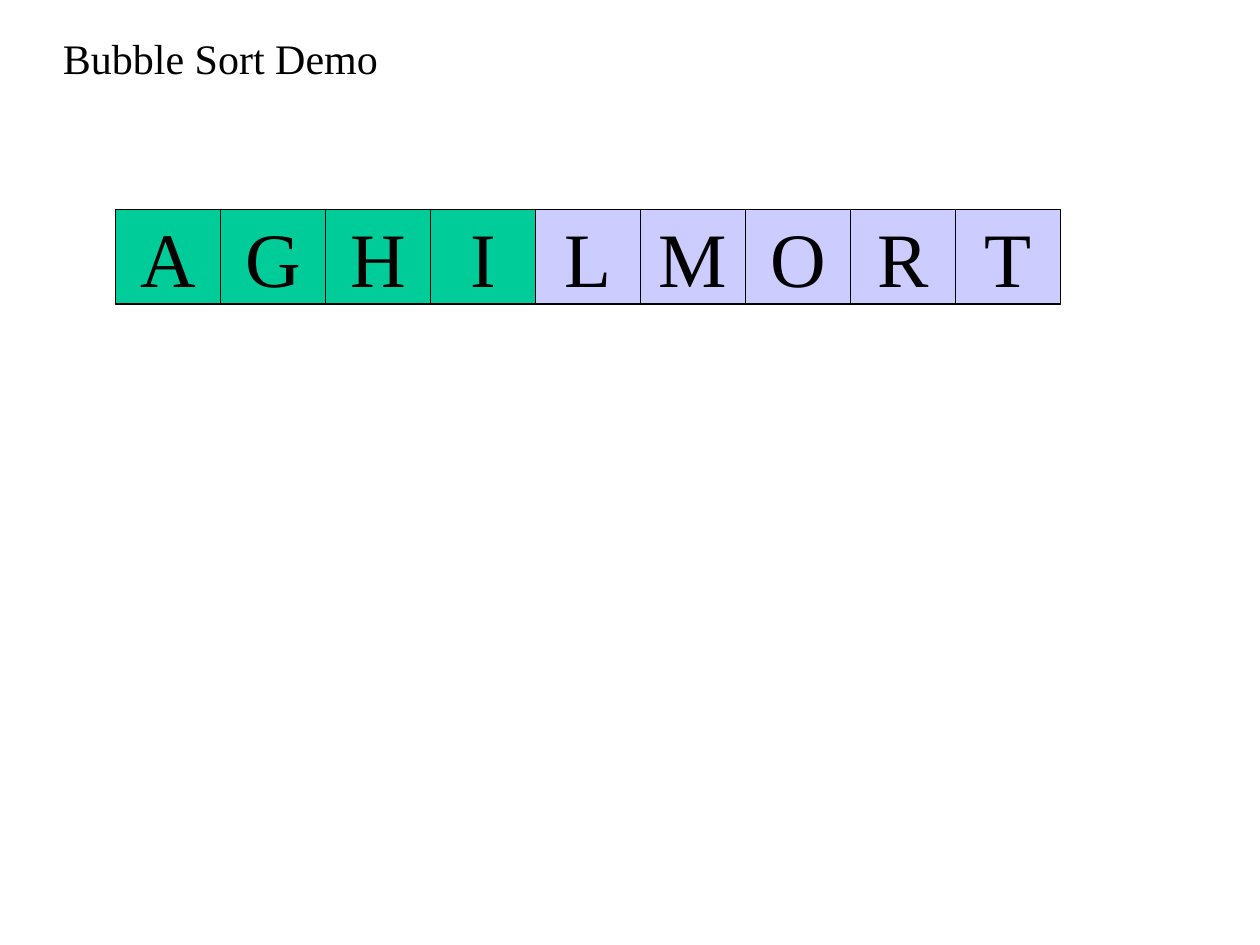
from pptx import Presentation
from pptx.dml.color import RGBColor
from pptx.enum.shapes import MSO_SHAPE
from pptx.enum.text import MSO_ANCHOR, MSO_AUTO_SIZE, PP_ALIGN
from pptx.util import Cm, Pt

BLACK = RGBColor(0x00, 0x00, 0x00)
GREEN = RGBColor(0x00, 0xCC, 0x99)
LILAC = RGBColor(0xCC, 0xCC, 0xFF)
FONT = "Times New Roman"


def add_text(tf, text, size, align):
    tf.word_wrap = False
    p = tf.paragraphs[0]
    p.alignment = align
    r = p.add_run()
    r.text = text
    r.font.name = FONT
    r.font.size = Pt(size)
    r.font.color.rgb = BLACK


def add_title(s, text, left, top, width, height):
    tf = s.shapes.add_textbox(left, top, width, height).text_frame
    tf.auto_size = MSO_AUTO_SIZE.SHAPE_TO_FIT_TEXT
    add_text(tf, text, 24, PP_ALIGN.LEFT)


def add_array(s, letters, green_count, left, top, width, height):
    """Draw a row of equal cells, the first green_count of them green."""
    cell_width = width / len(letters)
    for i, letter in enumerate(letters):
        sp = s.shapes.add_shape(MSO_SHAPE.RECTANGLE, round(left + i * cell_width),
                                top, round(cell_width), height)
        sp.shadow.inherit = False
        sp.fill.solid()
        sp.fill.fore_color.rgb = GREEN if i < green_count else LILAC
        sp.line.color.rgb = BLACK
        sp.line.width = Pt(0.75)
        tf = sp.text_frame
        tf.vertical_anchor = MSO_ANCHOR.MIDDLE
        add_text(tf, letter, 44, PP_ALIGN.CENTER)


def main():
    prs = Presentation()
    prs.slide_width, prs.slide_height = Cm(25.4), Cm(19.05)
    s = prs.slides.add_slide(prs.slide_layouts[6])

    # Title
    add_title(s, "Bubble Sort Demo", Cm(1.02), Cm(0.53), Cm(6.86), Cm(1.27))

    # Array being sorted
    add_array(s, "AGHILMORT", 4, Cm(2.33), Cm(4.23), Cm(19.05), Cm(1.9))

    prs.save("out.pptx")


if __name__ == "__main__":
    main()
